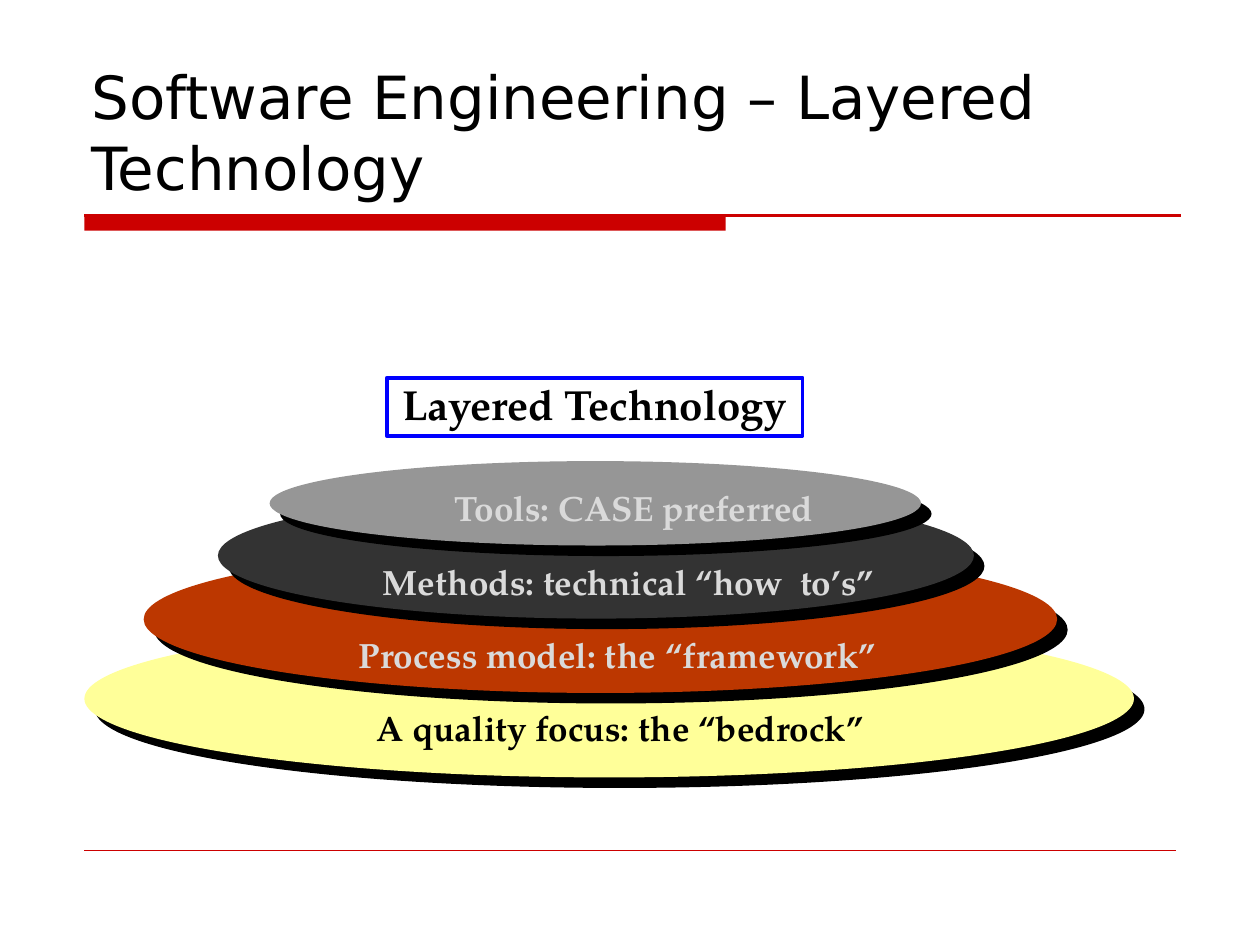
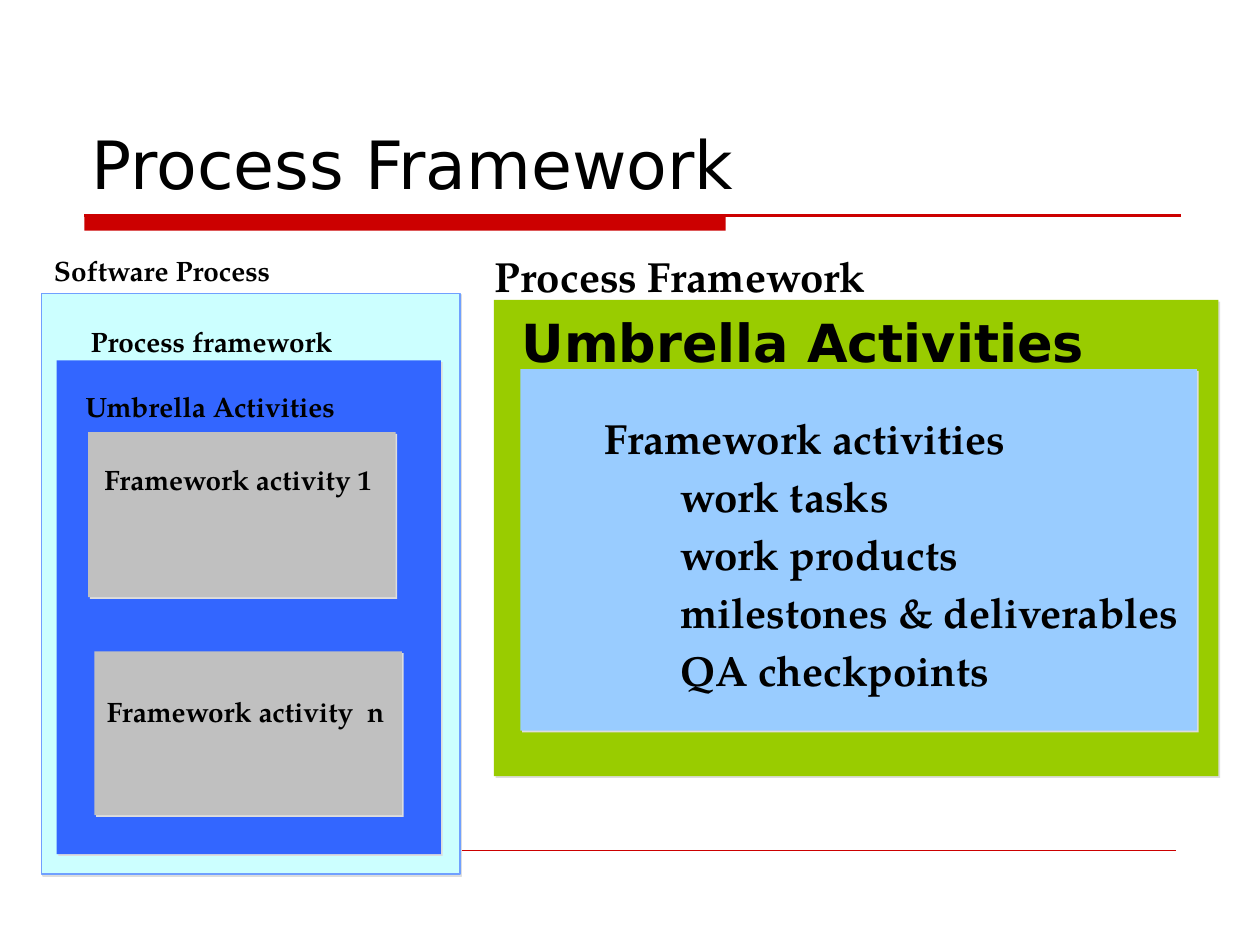
from lxml.etree import SubElement
from pptx import Presentation
from pptx.dml.color import RGBColor
from pptx.enum.shapes import MSO_CONNECTOR, MSO_SHAPE
from pptx.enum.text import MSO_ANCHOR, PP_ALIGN
from pptx.oxml.ns import qn
from pptx.util import Pt

PX = 9144
SERIF, SANS = "TeX Gyre Pagella", "DejaVu Sans"
BLACK = RGBColor(0x00, 0x00, 0x00)
RED = RGBColor(0xCC, 0x00, 0x00)
BLUE = RGBColor(0x00, 0x00, 0xFF)
YELLOW = RGBColor(0xFF, 0xFF, 0x99)
RUST = RGBColor(0xBC, 0x37, 0x00)
CHARCOAL = RGBColor(0x33, 0x33, 0x33)
GREY = RGBColor(0x96, 0x96, 0x96)
PALE = RGBColor(0xDA, 0xDA, 0xDA)
SHADE = RGBColor(0xDD, 0xDD, 0xDD)
CYAN = RGBColor(0xCC, 0xFF, 0xFF)
EDGE = RGBColor(0x70, 0xA0, 0xFF)
ROYAL = RGBColor(0x33, 0x66, 0xFF)
SILVER = RGBColor(0xC0, 0xC0, 0xC0)
GREEN = RGBColor(0x99, 0xCC, 0x00)
SKY = RGBColor(0x99, 0xCC, 0xFF)


def add_block(s, kind, box, fill, shadow=None, distance=0):
    sp = s.shapes.add_shape(kind, *[v * PX for v in box])
    sp.shadow.inherit = False
    sp.fill.solid()
    sp.fill.fore_color.rgb = fill
    sp.line.fill.background()
    if shadow is not None:
        effects = sp._element.spPr.find(qn("a:effectLst"))
        outer = SubElement(effects, qn("a:outerShdw"), blurRad="0", dist=str(Pt(distance)),
                           dir="2700000", algn="ctr", rotWithShape="0")
        SubElement(outer, qn("a:srgbClr"), val=str(shadow))
    return sp


def write(sp, lines, size, font=SERIF, color=BLACK, bold=True, spacing=1.0, wrap=True,
          anchor=MSO_ANCHOR.TOP):
    tf = sp.text_frame
    tf.word_wrap = wrap
    tf.vertical_anchor = anchor
    for i, (line, indent) in enumerate(lines):
        p = tf.paragraphs[0] if i == 0 else tf.add_paragraph()
        p.text = line
        p.alignment = PP_ALIGN.LEFT
        p.line_spacing = spacing
        p.font.size, p.font.name, p.font.bold = Pt(size), font, bold
        p.font.color.rgb = color
        p._p.get_or_add_pPr().set("marL", str(indent * PX))
    return tf


prs = Presentation()
prs.slide_width, prs.slide_height = 1000 * PX, 750 * PX

slides = []
for title, size in [("Software Engineering – Layered Technology", 34), ("Process Framework", 38)]:
    s = prs.slides.add_slide(prs.slide_layouts[6])
    slides.append(s)
    add_block(s, MSO_SHAPE.RECTANGLE, (67, 171, 509, 12), RED)
    for right, y, width in [(937, 171, 1.25), (933, 675, 0.25)]:
        rule = s.shapes.add_connector(MSO_CONNECTOR.STRAIGHT, 67 * PX, y * PX, right * PX, y * PX)
        rule.line.color.rgb = RED
        rule.line.width = Pt(width)
        SubElement(rule._element.spPr, qn("a:effectLst"))
    heading = s.shapes.add_textbox(63 * PX, 33 * PX, 875 * PX, 133 * PX)
    write(heading, [(title, 0)], size, SANS, bold=False, anchor=MSO_ANCHOR.BOTTOM)

s = slides[0]
layers = [
    ((67, 492, 833, 125), YELLOW, (289, 556), "A quality focus: the “bedrock”", BLACK),
    ((114, 433, 725, 117), RUST, (275, 498), "Process model: the “framework”", PALE),
    ((173, 391, 600, 100), CHARCOAL, (294, 440), "Methods: technical “how  to’s”", PALE),
    ((214, 366, 517, 67), GREY, (351, 381), "Tools: CASE preferred", PALE),
]
for oval, fill, *_ in layers:
    add_block(s, MSO_SHAPE.OVAL, oval, fill, BLACK, 8.5)
for _, _, (x, y), label, color in layers:
    sp = s.shapes.add_textbox(x * PX, y * PX, 450 * PX, 43 * PX)
    write(sp, [(label, 0)], 20, color=color)

sp = s.shapes.add_textbox(307 * PX, 300 * PX, 330 * PX, 46 * PX)
sp.line.color.rgb = BLUE
sp.line.width = Pt(2.25)
tf = write(sp, [("Layered Technology", 0)], 24, spacing=0.9, wrap=False)
tf.paragraphs[0].alignment = PP_ALIGN.CENTER

s = slides[1]
panels = [
    ((33, 233, 332, 461), CYAN),
    ((45, 286, 305, 392), ROYAL),
    ((70, 343, 244, 131), SILVER),
    ((75, 517, 244, 130), SILVER),
    ((392, 238, 575, 378), GREEN),
    ((413, 293, 537, 287), SKY),
]
blocks = [add_block(s, MSO_SHAPE.RECTANGLE, box, fill, SHADE, 1.4) for box, fill in panels]
blocks[0].line.color.rgb = EDGE
blocks[0].line.width = Pt(1)

for x, y, label in [
    (33, 192, "Software Process"),
    (62, 249, "Process framework"),
    (58, 300, "Umbrella Activities"),
    (73, 358, "Framework activity 1"),
    (75, 542, "Framework activity  n"),
]:
    sp = s.shapes.add_textbox(x * PX, y * PX, 265 * PX, 40 * PX)
    write(sp, [(label, 0)], 16, spacing=1.15)

tasks = ["work tasks", "work products", "milestones & deliverables", "QA checkpoints"]
write(blocks[-1], [("Framework activities", 57)] + [(task, 117) for task in tasks], 24,
      spacing=1.15, wrap=False, anchor=MSO_ANCHOR.MIDDLE)

sp = s.shapes.add_textbox(375 * PX, 188 * PX, 592 * PX, 113 * PX)
tf = write(sp, [("Process Framework", 8), ("Umbrella Activities", 29)], 24, spacing=1.15)
tf.paragraphs[1].font.size = Pt(30)
tf.paragraphs[1].font.name = SANS

prs.save("out.pptx")
